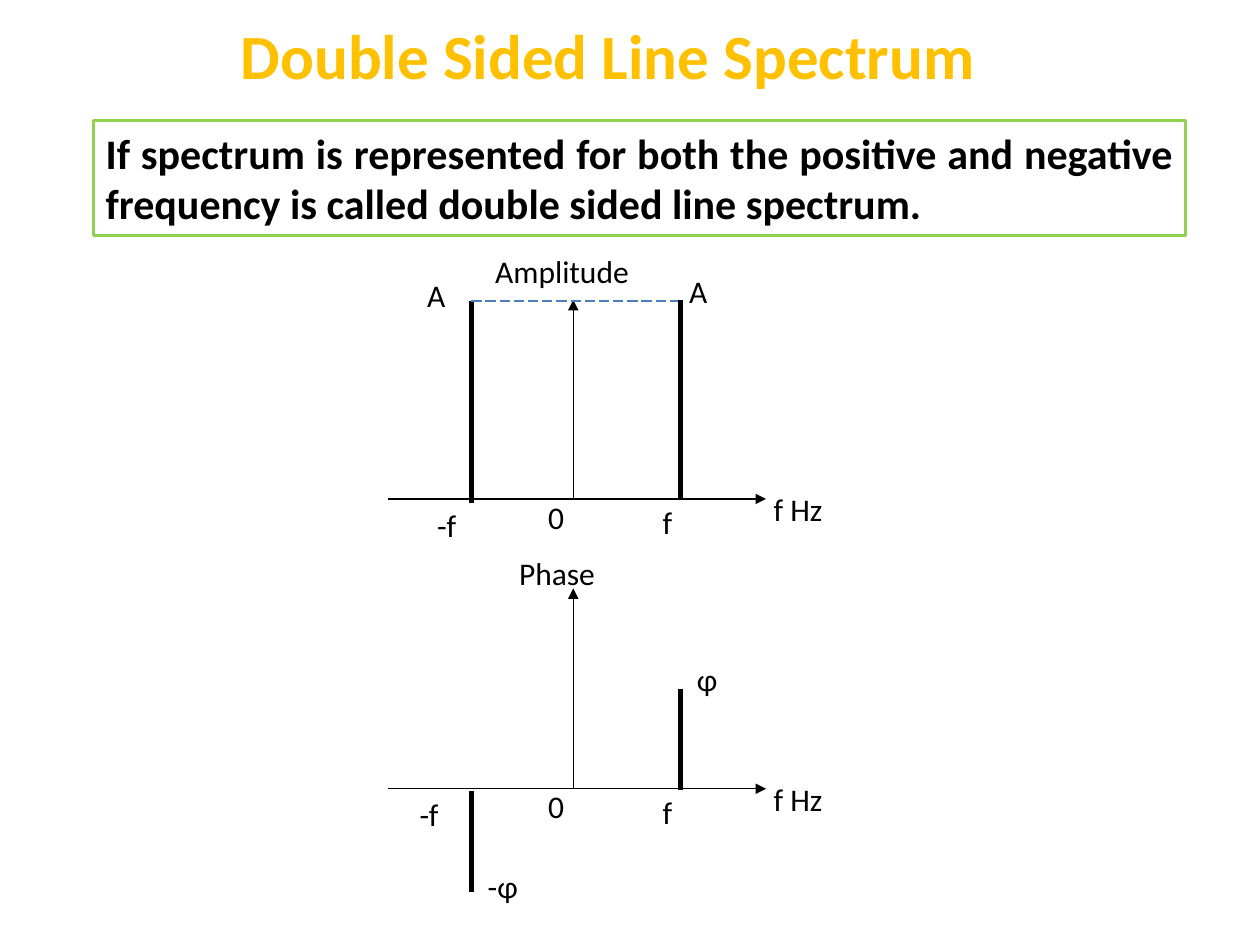
from dataclasses import dataclass

from lxml import etree
from pptx import Presentation
from pptx.dml.color import RGBColor
from pptx.enum.dml import MSO_LINE_DASH_STYLE as Dash
from pptx.enum.shapes import MSO_CONNECTOR as Conn, MSO_SHAPE as Shape
from pptx.enum.text import MSO_ANCHOR as Anchor, PP_ALIGN as Align
from pptx.oxml.ns import qn
from pptx.util import Inches, Pt

BLACK = RGBColor(0x00, 0x00, 0x00)
GOLD = RGBColor(0xFF, 0xC0, 0x00)
GREEN = RGBColor(0x92, 0xD0, 0x50)
BLUE = RGBColor(0x4B, 0x7E, 0xBC)

# Horizontal positions shared by both plots
AXIS_LEFT, AXIS_RIGHT = 3.08, 6.08
X_NEG, X_ZERO, X_POS = 3.74, 4.55, 5.4


@dataclass
class Label:
    text: str
    x: float
    dy: float  # top, measured from the frequency axis
    w: float = 0.42


@dataclass
class Bar:
    x: float
    start: float  # ends, measured from the frequency axis
    end: float


@dataclass
class Plot:
    axis_y: float
    height: float
    bars: list[Bar]
    labels: list[Label]


PLOTS = [
    Plot(3.96, 1.58,
         [Bar(X_POS, 0.01, -1.58), Bar(X_NEG, 0.03, -1.57)],
         [Label("Amplitude", 3.93, -1.96, 1.45), Label("A", 5.47, -1.8),
          Label("A", 3.39, -1.77), Label("-f", 3.47, 0.06)]),
    Plot(6.26, 1.59,
         [Bar(X_POS, 0.01, -0.79), Bar(X_NEG, 0.02, 0.82)],
         [Label("Phase", 4.12, -1.86, 0.86), Label("φ", 5.53, -1.02),
          Label("-φ", 3.87, 0.62), Label("-f", 3.33, 0.05)]),
]
AXIS_LABELS = [Label("0", 4.35, -0.01), Label("f Hz", 6.14, -0.07, 0.64),
               Label("f", 5.26, 0.03)]


def write(tf, text: str, size: int, color: RGBColor, bold: bool = False,
          align: Align = Align.LEFT) -> None:
    p = tf.paragraphs[0]
    p.alignment = align
    r = p.add_run()
    r.text = text
    r.font.color.rgb = color
    for name, value in {"name": "Calibri", "size": Pt(size), "bold": bold}.items():
        setattr(r.font, name, value)


def add_line(shapes, x1: float, y1: float, x2: float, y2: float,
             width: float = 0.75, color: RGBColor = BLACK, arrow: bool = False):
    c = shapes.add_connector(Conn.STRAIGHT, Inches(x1), Inches(y1),
                             Inches(x2), Inches(y2))
    c.line.color.rgb = color
    c.line.width = Pt(width)
    if arrow:
        etree.SubElement(c.line._get_or_add_ln(), qn("a:tailEnd"), type="triangle")
    etree.SubElement(c._element.spPr, qn("a:effectLst"))
    return c


def add_label(shapes, label: Label, axis_y: float) -> None:
    tb = shapes.add_textbox(Inches(label.x), Inches(axis_y + label.dy),
                            Inches(label.w), Inches(0.3))
    tf = tb.text_frame
    tf.word_wrap = True
    for side in ("left", "top", "right", "bottom"):
        setattr(tf, f"margin_{side}", 0)
    write(tf, label.text, 18, BLACK)


def add_plot(s, plot: Plot) -> None:
    shapes = s.shapes.add_group_shape().shapes
    y = plot.axis_y
    add_line(shapes, AXIS_LEFT, y, AXIS_RIGHT, y, arrow=True)
    add_line(shapes, X_ZERO, y, X_ZERO, y - plot.height, arrow=True)
    for bar in plot.bars:
        add_line(shapes, bar.x, y + bar.start, bar.x, y + bar.end, width=3)
    for label in AXIS_LABELS + plot.labels:
        add_label(shapes, label, y)


def main() -> None:
    prs = Presentation()
    prs.slide_width, prs.slide_height = Inches(10), Inches(7.5)
    s = prs.slides.add_slide(prs.slide_layouts[6])

    # Title
    title = s.shapes.add_textbox(Inches(1.78), Inches(0.08), Inches(6.09), Inches(0.71))
    title.text_frame.word_wrap = False
    write(title.text_frame, "Double Sided Line Spectrum", 36, GOLD, True, Align.CENTER)

    # Definition box
    sp = s.shapes.add_shape(Shape.RECTANGLE, Inches(0.74), Inches(0.96),
                            Inches(8.67), Inches(0.91))
    sp.shadow.inherit = False
    sp.fill.background()
    sp.line.color.rgb = GREEN
    sp.line.width = Pt(1.75)
    tf = sp.text_frame
    tf.word_wrap = True
    tf.vertical_anchor = Anchor.TOP
    write(tf, "If spectrum is represented for both the positive and negative "
          "frequency is called double sided line spectrum.",
          24, BLACK, True, Align.JUSTIFY)

    # Amplitude and phase plots
    for plot in PLOTS:
        add_plot(s, plot)

    # Dashed level between the two amplitude bars
    level = add_line(s.shapes, X_NEG, 2.39, 5.38, 2.39, color=BLUE)
    level.line.dash_style = Dash.LONG_DASH

    prs.save("out.pptx")


if __name__ == "__main__":
    main()
